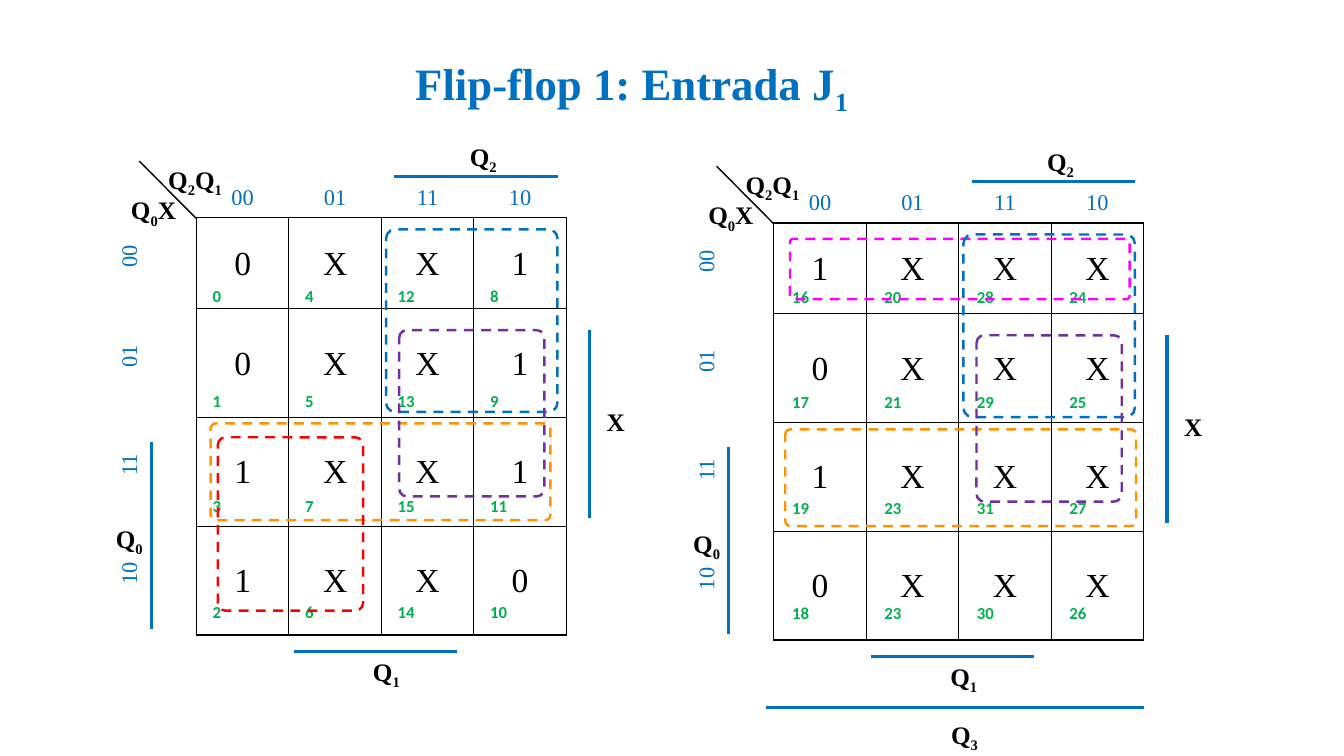
import pptx
import pptx.dml.color
import pptx.enum.dml
import pptx.enum.shapes
import pptx.enum.text
import pptx.oxml
import pptx.oxml.ns
import pptx.util
from lxml import etree

Cm = pptx.util.Cm
Pt = pptx.util.Pt
ANCHOR = pptx.enum.text.MSO_ANCHOR
ALIGN = pptx.enum.text.PP_ALIGN
SERIF = "Times New Roman"
BLACK, BLUE, GREEN = "000000", "0070C0", "00B050"
ORANGE, RED, PURPLE, MAGENTA = "FF9201", "FF0000", "7030A0", "FF00FF"
GRAY_CODE = ["00", "01", "11", "10"]
COLUMN = 2.33
VALUE_ROWS = [1.4, 2.29, 2.74, 2.74, 2.74]
INDEX_ROWS = [2.65] * 5
HEADER_INSETS = (0.64, 0.33, 0.64, 0.2)
SIDE_INSETS = (0.64, 0.33, 0.3, 0.33)
VALUE_INSETS = (0.03, 0.03, 0.03, 0)
INDEX_INSETS = (0.64, 0.33, 0.64, 0.33)

VARIABLE_BARS = [
    (4.78, 12.32, 8.9, 12.32),
    (12.24, 4.22, 12.24, 8.97),
    (1.19, 7.04, 1.19, 11.76),
    (7.32, 0.36, 11.43, 0.36),
]
VARIABLE_LABELS = [
    (("Q", "2", "Q", "1"), 1.37, -0.08, 1.93),
    (("Q", "0", "X"), 0.43, 0.69, 1.68),
    (("X",), 12.42, 6.02, 0.97),
    (("Q", "1"), 6.53, 12.32, 1.22),
    (("Q", "0"), 0.05, 8.97, 1.22),
    (("Q", "2"), 8.97, -0.66, 1.22),
]
SHARED_LOOPS = [(BLUE, 7.11, 1.69, 4.32, 4.6), (PURPLE, 7.44, 4.23, 3.66, 4.19)]


def rgb(value):
    """Turn a hex string into a colour."""
    return pptx.dml.color.RGBColor.from_string(value)


def style_run(run, size, color, bold=False, face=SERIF):
    """Set the font of one run."""
    run.font.size, run.font.bold, run.font.name = Pt(size), bold, face
    run.font.color.rgb = rgb(color)


def write_term(frame, parts, size, color):
    """Write bold text whose every second part is a subscript."""
    frame.word_wrap = False
    frame.auto_size = pptx.enum.text.MSO_AUTO_SIZE.SHAPE_TO_FIT_TEXT
    frame.vertical_anchor = ANCHOR.TOP
    paragraph = frame.paragraphs[0]
    paragraph.alignment = ALIGN.LEFT
    for position, part in enumerate(parts):
        run = paragraph.add_run()
        run.text = part
        style_run(run, size, color, True)
        if position % 2:
            run._r.get_or_add_rPr().set("baseline", "-25000")


def add_label(slide, parts, left, top, width):
    """Place the name of a variable."""
    box = slide.shapes.add_textbox(Cm(left), Cm(top), Cm(width), Cm(1.02))
    write_term(box.text_frame, parts, 18, BLACK)


def add_line(slide, ends, color, width):
    """Draw a straight line without shadow."""
    line = slide.shapes.add_connector(
        pptx.enum.shapes.MSO_CONNECTOR.STRAIGHT, *(Cm(end) for end in ends))
    line.line.color.rgb, line.line.width = rgb(color), Pt(width)
    etree.SubElement(line._element.spPr, pptx.oxml.ns.qn("a:effectLst"))


def add_loop(slide, color, left, top, width, height):
    """Draw the dashed outline around a group of cells."""
    loop = slide.shapes.add_shape(
        pptx.enum.shapes.MSO_SHAPE.ROUNDED_RECTANGLE,
        Cm(left), Cm(top), Cm(width), Cm(height))
    loop.adjustments[0] = 0.053
    loop.shadow.inherit = False
    loop.fill.background()
    loop.line.color.rgb, loop.line.width = rgb(color), Pt(1.75)
    loop.line.dash_style = pptx.enum.dml.MSO_LINE.DASH


def set_borders(cell, sides):
    """Rule the given sides of a cell and clear the others."""
    for side in "LRTB":
        fill = f'<a:solidFill><a:srgbClr val="{BLACK}"/></a:solidFill>' if side in sides else "<a:noFill/>"
        cell._tc.get_or_add_tcPr().append(pptx.oxml.parse_xml(
            f'<a:ln{side} {pptx.oxml.ns.nsdecls("a")} w="12700">{fill}</a:ln{side}>'))
    cell.fill.background()


def add_grid(slide, left, top, rows):
    """Add a plain five-column table and return it."""
    grid = slide.shapes.add_table(
        5, 5, Cm(left), Cm(top), Cm(5 * COLUMN), Cm(sum(rows))).table
    grid.first_row = grid.horz_banding = False
    for column in grid.columns:
        column.width = Cm(COLUMN)
    for row, height in zip(grid.rows, rows):
        row.height = Cm(height)
    return grid


def fill_cell(cell, text, insets, anchor, alignment, **font):
    """Write and format the text of a cell."""
    cell.margin_left, cell.margin_top, cell.margin_right, cell.margin_bottom = map(Cm, insets)
    cell.vertical_anchor = anchor
    paragraph = cell.text_frame.paragraphs[0]
    paragraph.text = text
    paragraph.alignment = alignment
    style_run(paragraph.runs[0], **font)


def add_indices(slide, left, top, indices):
    """Place the table of cell numbers."""
    grid = add_grid(slide, left, top, INDEX_ROWS)
    for r in range(5):
        for c in range(5):
            cell = grid.cell(r, c)
            set_borders(cell, "")
            if r and c:
                fill_cell(cell, str(indices[r - 1][c - 1]), INDEX_INSETS, ANCHOR.BOTTOM,
                          ALIGN.LEFT, size=12, color=GREEN, bold=True, face="Calibri")


def add_values(slide, left, top, values):
    """Place the ruled table of values with its Gray code headers."""
    grid = add_grid(slide, left, top, VALUE_ROWS)
    set_borders(grid.cell(0, 0), "")
    for i, code in enumerate(GRAY_CODE, 1):
        header, side = grid.cell(0, i), grid.cell(i, 0)
        set_borders(header, "B")
        set_borders(side, "R")
        for cell, insets in ((header, HEADER_INSETS), (side, SIDE_INSETS)):
            fill_cell(cell, code, insets, ANCHOR.BOTTOM, ALIGN.CENTER, size=16, color=BLUE)
        side._tc.get_or_add_tcPr().set("vert", "vert270")
        for j, value in enumerate(values[i - 1], 1):
            cell = grid.cell(i, j)
            set_borders(cell, "LRTB")
            fill_cell(cell, value, VALUE_INSETS, ANCHOR.MIDDLE, ALIGN.CENTER, size=24, color=BLACK)


def add_map(slide, left, top, index_shift, indices, values, loops, bars=(), labels=()):
    """Build one Karnaugh map from its top left corner."""
    add_indices(slide, left + index_shift[0], top + index_shift[1], indices)
    add_values(slide, left, top, values)
    add_line(slide, (left + 2.33, top + 1.42, left + 0.89, top - 0.03), BLACK, 1)
    for x1, y1, x2, y2 in [*VARIABLE_BARS, *bars]:
        add_line(slide, (left + x1, top + y1, left + x2, top + y2), BLUE, 2.25)
    for parts, x, y, width in [*VARIABLE_LABELS, *labels]:
        add_label(slide, parts, left + x, top + y, width)
    for color, x, y, width, height in [*loops, *SHARED_LOOPS]:
        add_loop(slide, color, left + x, top + y, width, height)


def add_title(slide, left, top, width, height):
    """Place and format the slide title."""
    title = slide.shapes.title
    title.left, title.top, title.width, title.height = map(Cm, (left, top, width, height))
    write_term(title.text_frame, ("Flip-flop 1: Entrada J", "1"), 32, BLUE)


def main():
    """Build and save the slide."""
    deck = pptx.Presentation()
    deck.slide_width, deck.slide_height = Cm(33.87), Cm(19.05)
    slide = deck.slides.add_slide(deck.slide_layouts[5])
    add_title(slide, 10.21, 1.27, 11.56, 1.63)
    add_map(slide, 2.62, 4.09, (-0.23, -1.32),
            [(0, 4, 12, 8), (1, 5, 13, 9), (3, 7, 15, 11), (2, 6, 14, 10)],
            ["0XX1", "0XX1", "1XX1", "1XX0"],
            [(ORANGE, 2.69, 6.58, 8.56, 2.44), (RED, 2.87, 6.93, 3.66, 4.37)])
    add_map(slide, 17.17, 4.22, (-0.18, -1.42),
            [(16, 20, 28, 24), (17, 21, 29, 25), (19, 23, 31, 27), (18, 23, 30, 26)],
            ["1XXX", "0XXX", "1XXX", "0XXX"],
            [(ORANGE, 2.62, 6.6, 8.84, 2.44), (MAGENTA, 2.74, 1.8, 8.56, 1.52)],
            bars=[(2.13, 13.61, 11.66, 13.61)],
            labels=[(("Q", "3"), 6.55, 13.77, 1.22)])
    deck.save("out.pptx")


if __name__ == "__main__":
    main()
